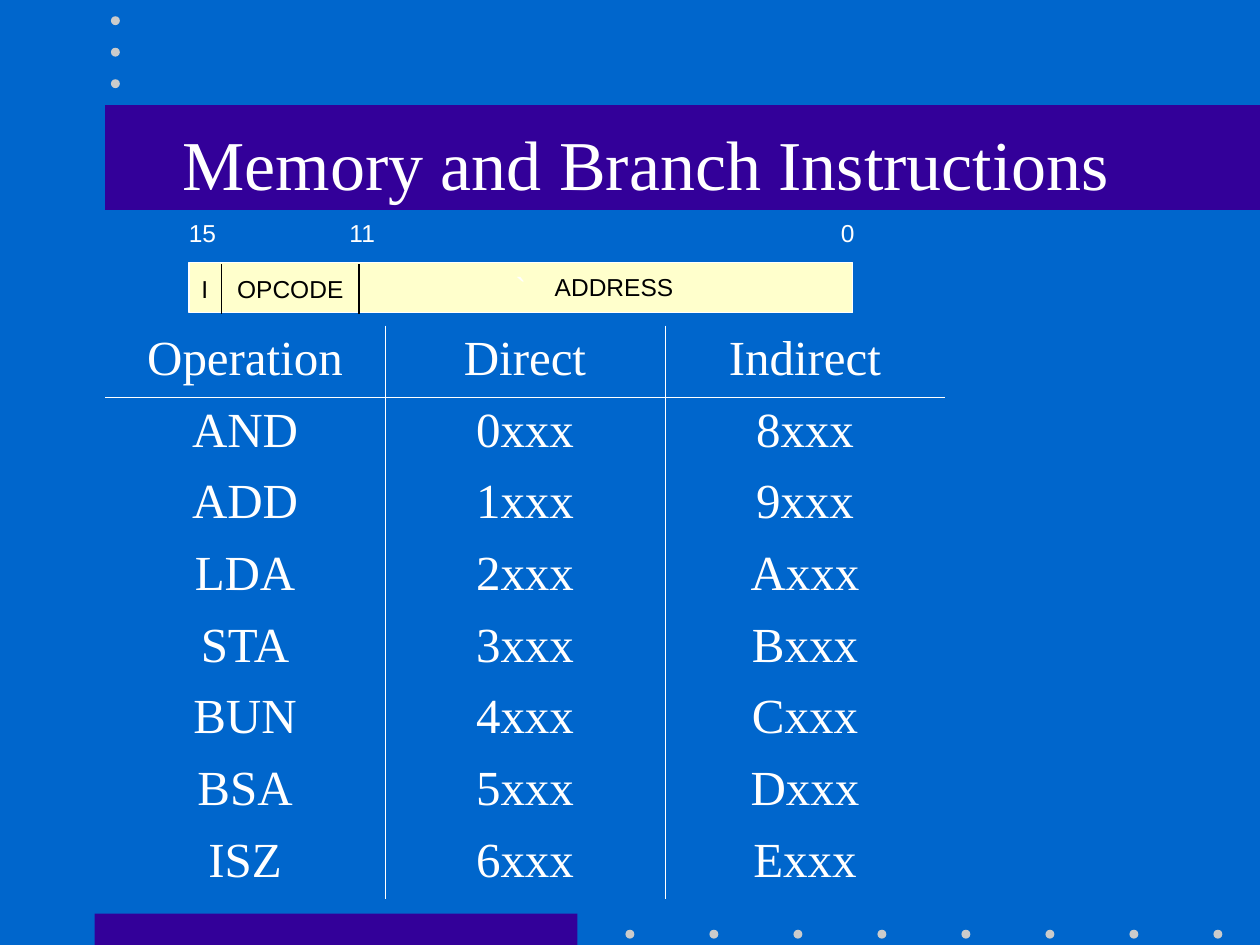
"""Build the slide on memory and branch instructions, on a grid of 120 columns by 90 rows."""
import pptx
import pptx.dml.color
import pptx.enum.shapes
import pptx.enum.text
import pptx.oxml
import pptx.oxml.ns
import pptx.util

SHAPES = pptx.enum.shapes.MSO_SHAPE
ALIGN = pptx.enum.text.PP_ALIGN
ANCHOR = pptx.enum.text.MSO_ANCHOR
SERIF, SANS = "Times New Roman", "Arial"
WHITE, BLACK, PURPLE, GREY = "FFFFFF", "000000", "330099", "CBCBCB"

deck = pptx.Presentation()
deck.slide_width, deck.slide_height = pptx.util.Inches(10), pptx.util.Inches(7.5)
unit = deck.slide_width / 120
slide = deck.slides.add_slide(deck.slide_layouts[6])


def paint(color_format, color):
    color_format.rgb = pptx.dml.color.RGBColor.from_string(color)


def write(frame, text, size, face, color, align=ALIGN.CENTER):
    frame.text = text
    paragraph = frame.paragraphs[0]
    paragraph.alignment = align
    paragraph.font.size = pptx.util.Pt(size)
    paragraph.font.name = face
    paint(paragraph.font.color, color)
    return paragraph


background = slide.background.fill
background.solid()
paint(background.fore_color, "0066CC")

decorations = [(SHAPES.RECTANGLE, 9, 87, 46, 3, PURPLE)]
decorations += [(SHAPES.OVAL, 59.57 + 8 * i, 88.55, 0.85, 0.85, GREY) for i in range(8)]
decorations += [(SHAPES.RECTANGLE, 10, 10, 110, 10, PURPLE)]
decorations += [(SHAPES.OVAL, 10.57, 1.55 + 3 * i, 0.85, 0.85, GREY) for i in range(3)]
for outline, left, top, width, height, color in decorations:
    ornament = slide.shapes.add_shape(outline, *(int(n * unit) for n in (left, top, width, height)))
    ornament.shadow.inherit = False
    ornament.fill.solid()
    paint(ornament.fill.fore_color, color)
    ornament.line.fill.background()

title = slide.shapes.add_textbox(*(int(n * unit) for n in (3, 11, 117, 9))).text_frame
title.word_wrap = True
title.vertical_anchor = ANCHOR.MIDDLE
write(title, "Memory and Branch Instructions", 40, SERIF, WHITE)

operations = [("Operation", "Direct", "Indirect")]
for opcode, operation in enumerate(["AND", "ADD", "LDA", "STA", "BUN", "BSA", "ISZ"]):
    operations.append((operation, f"{opcode:X}xxx", f"{opcode + 8:X}xxx"))

encoding = slide.shapes.add_table(
    len(operations), 3, *(int(n * unit) for n in (10, 31, 80, 6.83 * len(operations)))
).table
encoding.first_row = encoding.horz_banding = False
for r, row in enumerate(operations):
    for c, text in enumerate(row):
        cell = encoding.cell(r, c)
        write(cell.text_frame, text, 28, SERIF, WHITE).space_before = pptx.util.Pt(7)
        ruled = {"L": c > 0, "R": c < 2, "T": r == 1, "B": r == 0}
        for side, visible in ruled.items():
            ink = f'<a:solidFill><a:srgbClr val="{WHITE}"/></a:solidFill>' if visible else "<a:noFill/>"
            cell._tc.get_or_add_tcPr().append(pptx.oxml.parse_xml(
                f'<a:ln{side} {pptx.oxml.ns.nsdecls("a")} w="{pptx.util.Pt(0.45)}">{ink}</a:ln{side}>'))
        cell.fill.background()

word_format = slide.shapes.add_shape(
    SHAPES.RECTANGLE, *(int(n * unit) for n in (18, 25, 63.2, 4.8)))
word_format.shadow.inherit = False
word_format.fill.solid()
paint(word_format.fill.fore_color, "FFFFCC")
paint(word_format.line.color, WHITE)
word_format.line.width = pptx.util.Pt(0.75)
word_format.text_frame.word_wrap = False
word_format.text_frame.vertical_anchor = ANCHOR.MIDDLE
write(word_format.text_frame, "`", 18, SANS, WHITE)

for column in (21.1, 34.2):
    divider = slide.shapes.add_connector(
        pptx.enum.shapes.MSO_CONNECTOR.STRAIGHT,
        *(int(n * unit) for n in (column, 25.15, column, 29.9)))
    paint(divider.line.color, BLACK)
    divider.line.width = pptx.util.Pt(0.75)
    divider._element.spPr.append(
        pptx.oxml.parse_xml(f'<a:effectLst {pptx.oxml.ns.nsdecls("a")}/>'))

labels = [
    ("I", 18, 25.5, 3.1, BLACK),
    ("OPCODE", 21.4, 25.5, 12.7, BLACK),
    ("ADDRESS", 51.65, 25.3, 13.9, BLACK),
    ("0", 78.9, 20.15, 3.9, WHITE),
    ("11", 32.1, 20.15, 5.3, WHITE),
    ("15", 16.8, 20.15, 5.3, WHITE),
]
for text, left, top, width, color in labels:
    label = slide.shapes.add_textbox(*(int(n * unit) for n in (left, top, width, 4.05))).text_frame
    label.word_wrap = False
    label.auto_size = pptx.enum.text.MSO_AUTO_SIZE.SHAPE_TO_FIT_TEXT
    write(label, text, 14, SANS, color, ALIGN.LEFT)

deck.save("out.pptx")
